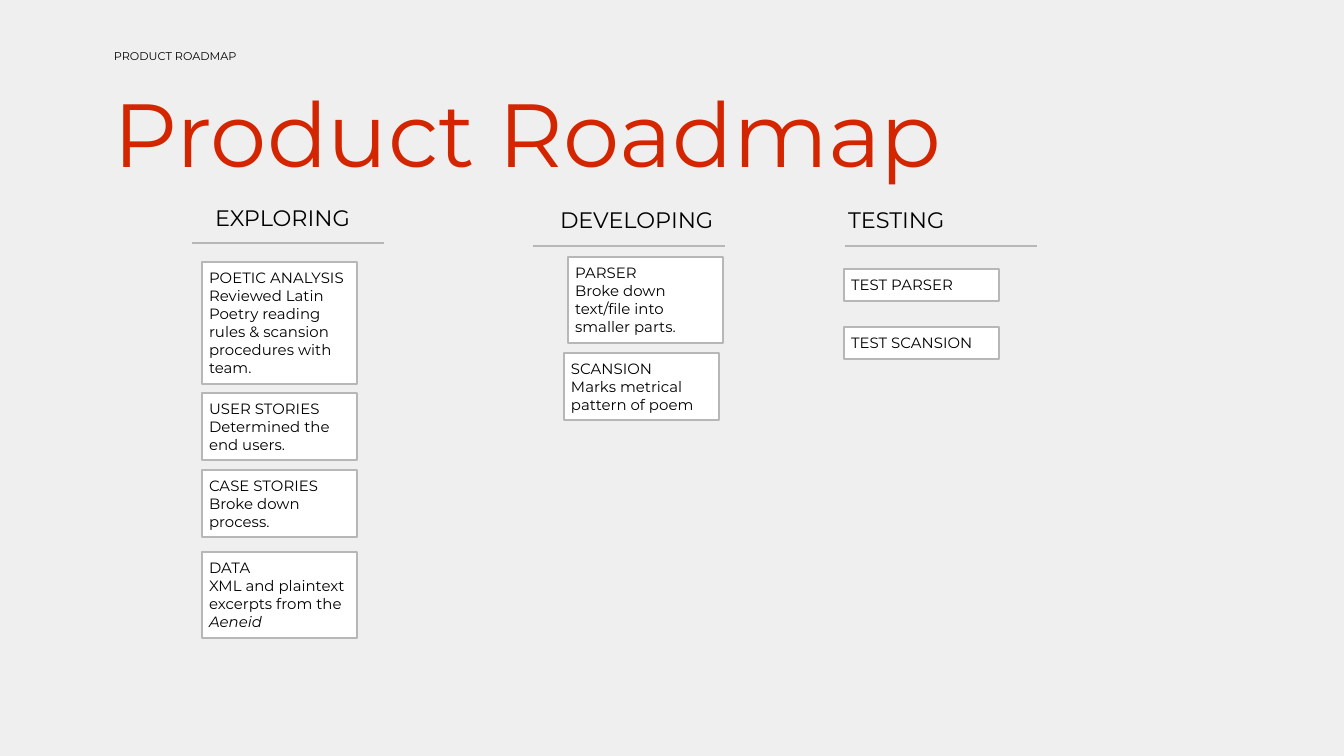
"""Builds a product roadmap slide with three columns of cards."""
from dataclasses import dataclass

from pptx import Presentation
from pptx.dml.color import RGBColor
from pptx.enum.shapes import MSO_CONNECTOR, MSO_SHAPE
from pptx.enum.text import MSO_ANCHOR, MSO_AUTO_SIZE, PP_ALIGN
from pptx.oxml.ns import qn
from pptx.util import Pt
from lxml import etree

RECTANGLE = MSO_SHAPE.RECTANGLE
STRAIGHT = MSO_CONNECTOR.STRAIGHT
TOP, MIDDLE = MSO_ANCHOR.TOP, MSO_ANCHOR.MIDDLE
FIT, FIXED = MSO_AUTO_SIZE.SHAPE_TO_FIT_TEXT, MSO_AUTO_SIZE.NONE
LEFT = PP_ALIGN.LEFT

SLIDE_WIDTH, SLIDE_HEIGHT = 1344, 756
EMU_PER_PX = 9144000 / SLIDE_WIDTH
CARD_WIDTH, RULE_WIDTH = 155, 192
HEADING_WIDTH, HEADING_HEIGHT = 212, 52
CARD_PADDING, TEXT_PADDING = 7, 13
CARD_HEIGHTS = {1: 32, 3: 67, 4: 86, 6: 122}


@dataclass(frozen=True)
class Theme:
    """Colours, font and type sizes of the slide."""
    font: str = "Montserrat"
    background: str = "EFEFEF"
    text: str = "000000"
    accent: str = "D32600"
    card: str = "FFFFFF"
    border: str = "B7B7B7"
    label_size: int = 6
    card_size: int = 8
    heading_size: int = 12
    title_size: int = 48
    border_width: float = 0.75
    rule_width: float = 1.5


def px(*lengths):
    """Turns lengths in px into EMU."""
    return [round(length * EMU_PER_PX) for length in lengths]


class Roadmap:
    """Holds the theme and the current slide and draws each kind of element."""

    def __init__(self, page, theme):
        """Keeps the page and paints its background."""
        self.page, self.theme = page, theme
        fill = page.background.fill
        fill.solid()
        fill.fore_color.rgb = RGBColor.from_string(theme.background)

    def fill_text(self, box, paragraphs, size, color, padding, anchor=TOP, fit=FIXED):
        """Fills a box with paragraphs of (text, italic) spans."""
        frame = box.text_frame
        inset, = px(padding)
        sides = ("margin_left", "margin_top", "margin_right", "margin_bottom")
        frame_format = dict.fromkeys(sides, inset)
        frame_format.update(word_wrap=True, vertical_anchor=anchor, auto_size=fit)
        for name, value in frame_format.items():
            setattr(frame, name, value)
        for index, spans in enumerate(paragraphs):
            para = frame.add_paragraph() if index else frame.paragraphs[0]
            para.alignment = LEFT
            for text, italic in spans:
                span = para.add_run()
                span.text = text
                font_format = {"name": self.theme.font, "size": Pt(size), "italic": italic}
                for name, value in font_format.items():
                    setattr(span.font, name, value)
                span.font.color.rgb = RGBColor.from_string(color)

    def text(self, bounds, text, size, color, **layout):
        """Adds a one-line text box."""
        box = self.page.shapes.add_textbox(*px(*bounds))
        self.fill_text(box, [[(text, None)]], size, color, TEXT_PADDING, **layout)

    def heading(self, left, top, text):
        """Adds a column heading."""
        bounds = (left, top, HEADING_WIDTH, HEADING_HEIGHT)
        self.text(bounds, text, self.theme.heading_size, self.theme.text)

    def rule(self, left, top):
        """Adds the line under a column heading."""
        line = self.page.shapes.add_connector(STRAIGHT, *px(left, top, left + RULE_WIDTH, top))
        line.line.color.rgb = RGBColor.from_string(self.theme.border)
        line.line.width = Pt(self.theme.rule_width)
        etree.SubElement(line._element.spPr, qn("a:effectLst"))

    def card(self, left, top, lines, name, body="", emphasis=""):
        """Adds a bordered card with a name and a description."""
        bounds = px(left, top, CARD_WIDTH, CARD_HEIGHTS[lines])
        box = self.page.shapes.add_shape(RECTANGLE, *bounds)
        box.shadow.inherit = False
        box.fill.solid()
        box.fill.fore_color.rgb = RGBColor.from_string(self.theme.card)
        box.line.color.rgb = RGBColor.from_string(self.theme.border)
        box.line.width = Pt(self.theme.border_width)
        paragraphs = [[(name, None)]]
        if body:
            paragraphs.append([(body, None)])
        if emphasis:
            paragraphs[-1].append((emphasis, True))
        self.fill_text(box, paragraphs, self.theme.card_size, self.theme.text,
                       CARD_PADDING, fit=FIT)


COLUMNS = [
    ("EXPLORING", (202, 191), (192, 243), [
        (202, 262, 6, "POETIC ANALYSIS",
         "Reviewed Latin Poetry reading rules & scansion procedures with team."),
        (202, 393, 3, "USER STORIES", "Determined the end users."),
        (202, 470, 3, "CASE STORIES", "Broke down process."),
        (202, 552, 4, "DATA", "XML and plaintext excerpts from the ", "Aeneid"),
    ]),
    ("DEVELOPING", (547, 193), (533, 246), [
        (568, 257, 4, "PARSER", "Broke down text/file into smaller parts."),
        (564, 353, 3, "SCANSION", "Marks metrical pattern of poem"),
    ]),
    ("TESTING", (835, 193), (845, 246), [
        (844, 269, 1, "TEST PARSER"),
        (844, 327, 1, "TEST SCANSION"),
    ]),
]


def main():
    """Builds and saves the deck."""
    deck = Presentation()
    deck.slide_width, deck.slide_height = px(SLIDE_WIDTH, SLIDE_HEIGHT)
    theme = Theme()
    roadmap = Roadmap(deck.slides.add_slide(deck.slide_layouts[6]), theme)
    roadmap.text((101, 43, 476, 40), "PRODUCT ROADMAP", theme.label_size, theme.text, fit=FIT)
    roadmap.text((101, 77, 939, 110), "Product Roadmap", theme.title_size, theme.accent,
                 anchor=MIDDLE)
    for name, heading_at, rule_at, cards in COLUMNS:
        roadmap.heading(*heading_at, name)
        roadmap.rule(*rule_at)
        for card in cards:
            roadmap.card(*card)
    deck.save("out.pptx")


if __name__ == "__main__":
    main()
